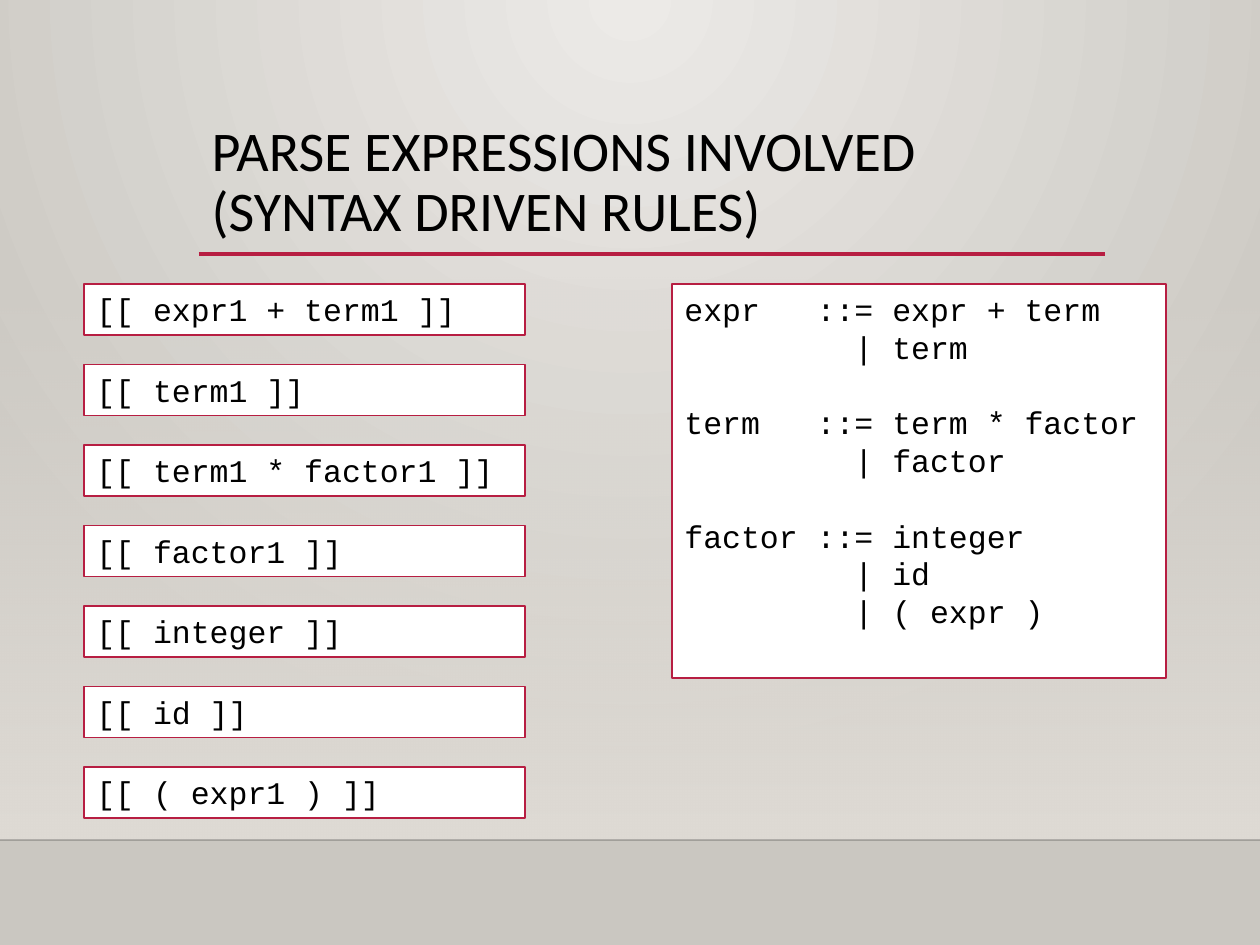
from lxml import etree
from pptx import Presentation
from pptx.dml.color import RGBColor
from pptx.enum.shapes import MSO_CONNECTOR, MSO_SHAPE
from pptx.enum.text import MSO_ANCHOR, MSO_AUTO_SIZE, PP_ALIGN
from pptx.oxml import parse_xml
from pptx.oxml.ns import nsdecls, qn
from pptx.util import Emu, Pt

RECT = MSO_SHAPE.RECTANGLE
LINE = MSO_CONNECTOR.STRAIGHT
LEFT = PP_ALIGN.LEFT
TOP, MID = MSO_ANCHOR.TOP, MSO_ANCHOR.MIDDLE
GROW = MSO_AUTO_SIZE.SHAPE_TO_FIT_TEXT
WHITE = RGBColor(0xFF, 0xFF, 0xFF)
BLACK = RGBColor(0, 0, 0)
INK = RGBColor(0, 0, 1)
RED = RGBColor(0xB7, 0x1E, 0x42)
PALE = RGBColor(0xEC, 0xEA, 0xE7)
GREY = RGBColor(0xCA, 0xC7, 0xC1)
SAND = RGBColor(0xDF, 0xDB, 0xD5)

TITLE = "PARSE EXPRESSIONS INVOLVED (SYNTAX DRIVEN RULES)"
TERMS = ["expr1 + term1", "term1", "term1 * factor1", "factor1",
         "integer", "id", "( expr1 )"]
RULES = [
    ("expr", ["expr + term", "term"]),
    ("term", ["term * factor", "factor"]),
    ("factor", ["integer", "id", "( expr )"]),
]
FIRST, LAST = 284, 767
CHAR = Pt(10.8)
GAP = Pt(21.5)


def px(n):
    return Emu(round(n * 914400 / 126))


def area(*box):
    return [px(n) for n in box]


def shade(node, stops, path):
    marks = "".join(
        f'<a:gs pos="{pos}"><a:srgbClr val="{hue}"><a:alpha val="{alpha}"/>'
        f'</a:srgbClr></a:gs>' for pos, hue, alpha in stops)
    grad = parse_xml(f'<a:gradFill {nsdecls("a")} rotWithShape="1">'
                     f'<a:gsLst>{marks}</a:gsLst>{path}</a:gradFill>')
    old = node.find(".//" + qn("a:solidFill"))
    old.getparent().replace(old, grad)


def rule(x1, x2, y, hue, width):
    line = slide.shapes.add_connector(LINE, *area(x1, y, x2, y))
    line.line.color.rgb = hue
    line.line.width = Pt(width)
    etree.SubElement(line._element.spPr, qn("a:effectLst"))
    return line


def panel(*box):
    shape = slide.shapes.add_shape(RECT, *area(*box))
    shape.shadow.inherit = False
    shape.fill.solid()
    shape.fill.fore_color.rgb = WHITE
    shape.line.color.rgb = RED
    shape.line.width = Pt(0.75)
    frame = shape.text_frame
    frame.word_wrap = True
    frame.auto_size = GROW
    frame.vertical_anchor = TOP
    return frame


def write(par, text):
    par.text = text
    par.alignment = LEFT
    par.font.name = "Courier New"
    par.font.size = Pt(18)
    par.font.color.rgb = BLACK


deck = Presentation()
deck.slide_width, deck.slide_height = px(1260), px(945)
slide = deck.slides.add_slide(deck.slide_layouts[5])
slide.background.fill.solid()
shade(slide._element, [(0, PALE, 100000), (100000, GREY, 100000)],
      '<a:path path="circle"><a:fillToRect l="43000" t="0" r="43000" '
      'b="100000"/></a:path>')

band = slide.shapes.add_shape(RECT, *area(0, 277, 1260, 563))
band.shadow.inherit = False
band.line.fill.background()
band.fill.solid()
shade(band._element, [(0, SAND, 0), (100000, SAND, 100000)],
      '<a:lin ang="5400000" scaled="0"/>')

floor = rule(0, 1260, 840, INK, 1)
tint = floor._element.spPr.find(".//" + qn("a:srgbClr"))
etree.SubElement(tint, qn("a:alpha")).set("val", "20000")
rule(199, 1105, 254, RED, 2.5)

head = slide.shapes.title
head.left, head.top, head.width, head.height = area(199, 111, 906, 145)
head.text_frame.text = TITLE
head.text_frame.word_wrap = True
head.text_frame.vertical_anchor = MID
par = head.text_frame.paragraphs[0]
par.alignment = LEFT
par.line_spacing = 0.9
par.font.name = "Calibri"
par.font.size = Pt(32)
par.font.color.rgb = BLACK

step = (LAST - FIRST) / (len(TERMS) - 1)
for i, term in enumerate(TERMS):
    frame = panel(84, FIRST + i * step, 441, 51)
    write(frame.paragraphs[0], f"[[ {term} ]]")

frame = panel(672, FIRST, 494, 394)
frame.auto_size = MSO_AUTO_SIZE.NONE
par = frame.paragraphs[0]
for i, (name, forms) in enumerate(RULES):
    for j, form in enumerate(forms):
        if i or j:
            par = frame.add_paragraph()
        write(par, f"| {form}" if j else f"{name}\t::= {form}")
        props = par._p.get_or_add_pPr()
        if j:
            props.set("marL", str(9 * CHAR))
            props.set("indent", "0")
        else:
            tabs = parse_xml(f'<a:tabLst {nsdecls("a")}><a:tab '
                             f'pos="{7 * CHAR}" algn="l"/></a:tabLst>')
            props.find(qn("a:defRPr")).addprevious(tabs)
            if i:
                par.space_before = GAP

deck.save("out.pptx")
